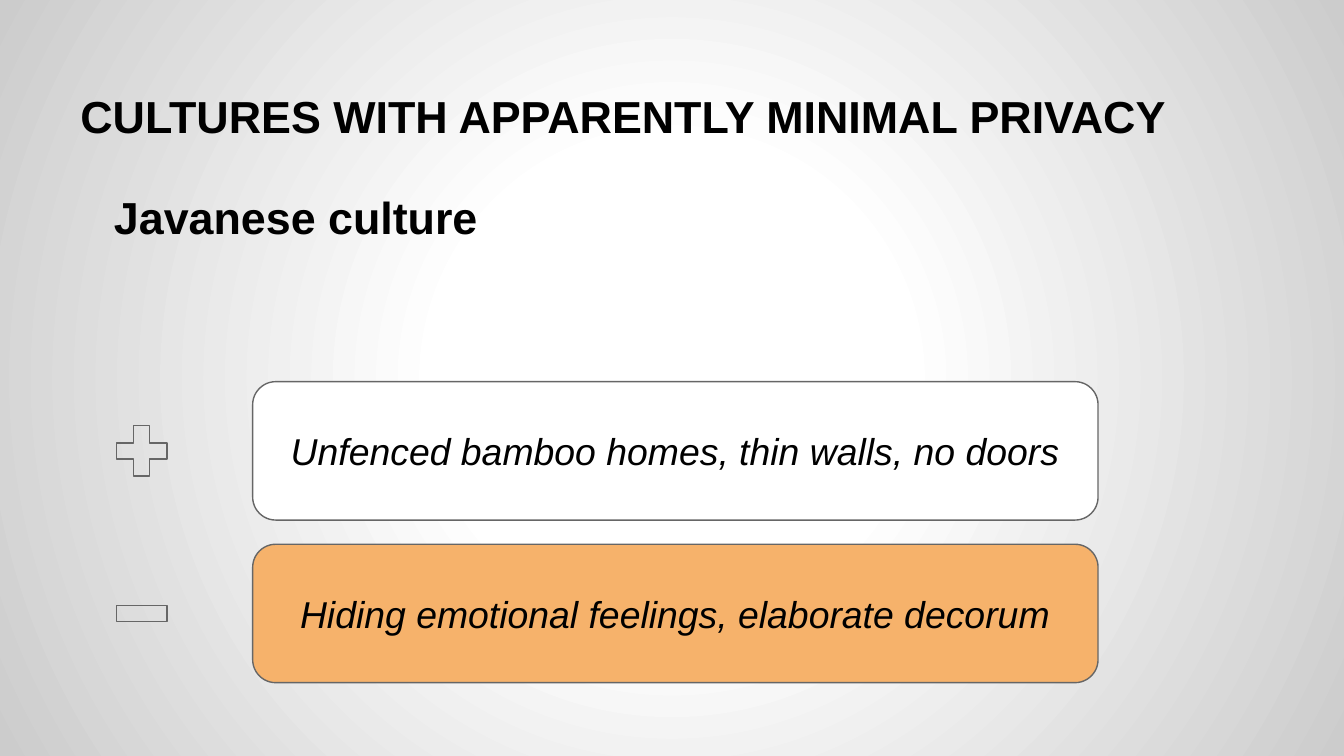
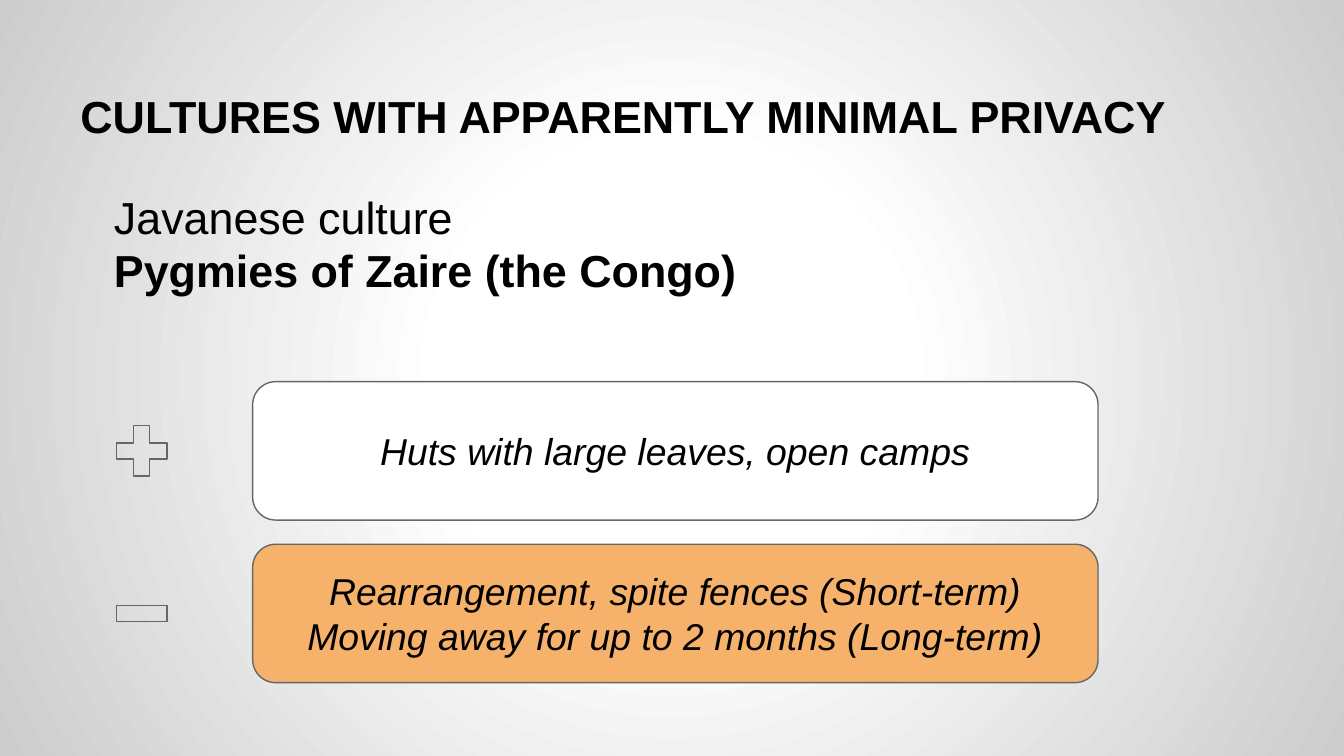
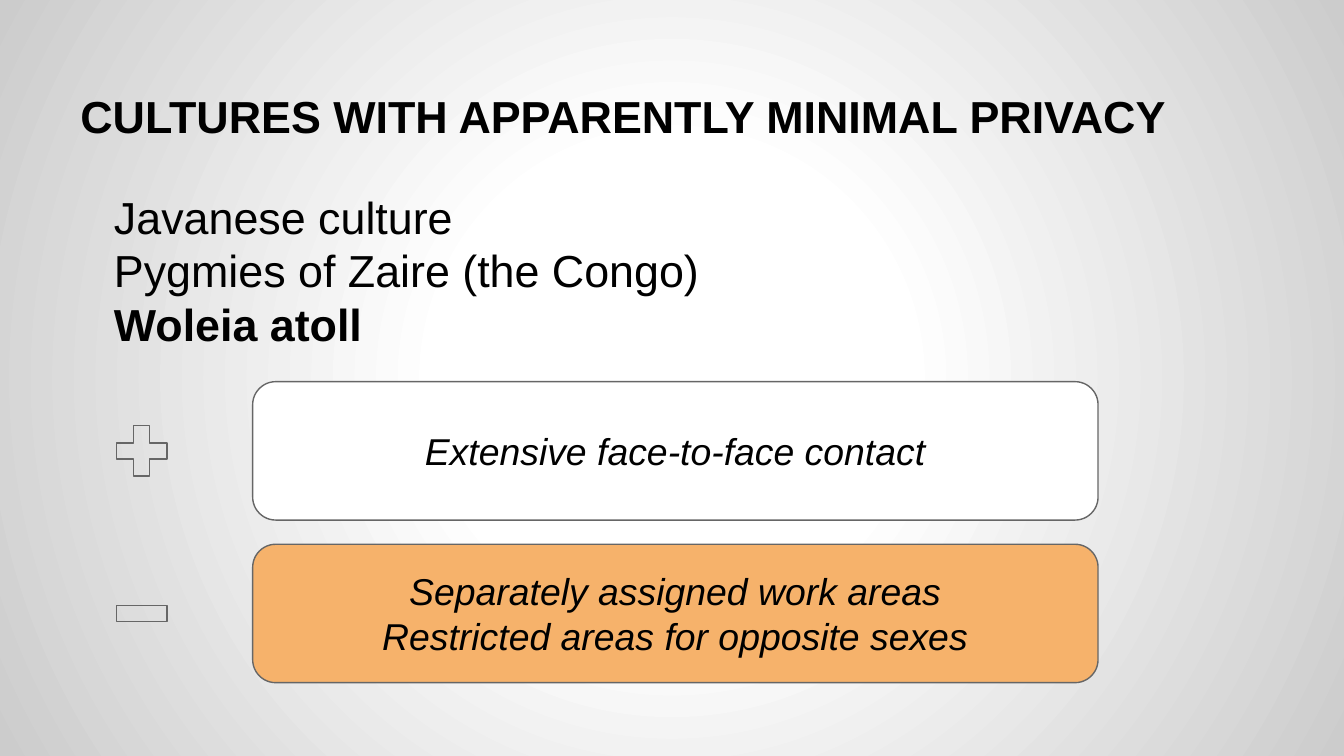
from pptx import Presentation
from pptx.dml.color import RGBColor
from pptx.enum.shapes import MSO_SHAPE
from pptx.enum.text import MSO_ANCHOR, PP_ALIGN
from pptx.oxml import parse_xml
from pptx.oxml.ns import nsdecls, qn
from pptx.util import Inches, Pt

CARD = MSO_SHAPE.FLOWCHART_ALTERNATE_PROCESS
PLUS, MINUS = MSO_SHAPE.MATH_PLUS, MSO_SHAPE.MATH_MINUS
TOP, MIDDLE, BOTTOM = MSO_ANCHOR.TOP, MSO_ANCHOR.MIDDLE, MSO_ANCHOR.BOTTOM
LEFT, CENTER, JUSTIFY = PP_ALIGN.LEFT, PP_ALIGN.CENTER, PP_ALIGN.JUSTIFY

COLORS = {"text": "000000", "outline": "666666", "open": "FFFFFF",
          "closed": "F6B26B", "center": "FFFFFF", "edge": "CCCCCC"}
FONT = "Arial"
TITLE = "CULTURES WITH APPARENTLY MINIMAL PRIVACY"
TITLE_FORMAT = {"size": Pt(24), "bold": True}
CULTURE_FORMAT = {"size": Pt(24), "bold": False}
CURRENT_FORMAT = {"size": Pt(24), "bold": True}
CARD_FORMAT = {"size": Pt(20), "italic": True}

# Each culture: name, signs of openness, ways of keeping privacy
CULTURES = [
    ("Javanese culture",
     ["Unfenced bamboo homes, thin walls, no doors"],
     ["Hiding emotional feelings, elaborate decorum"]),
    ("Pygmies of Zaire (the Congo)",
     ["Huts with large leaves, open camps"],
     ["Rearrangement, spite fences (Short-term)",
      "Moving away for up to 2 months (Long-term)"]),
    ("Woleia atoll",
     ["Extensive face-to-face contact"],
     ["Separately assigned work areas",
      "Restricted areas for opposite sexes"]),
]


def write_lines(shape, lines, anchor, align):
    """Fill a shape with paragraphs given as (text, font format) pairs."""
    frame = shape.text_frame
    frame.word_wrap = True
    frame.vertical_anchor = anchor
    for side in ("left", "top", "right", "bottom"):
        setattr(frame, f"margin_{side}", Inches(0.1))
    for index, (text, font_format) in enumerate(lines):
        paragraph = frame.paragraphs[0] if index == 0 else frame.add_paragraph()
        paragraph.alignment = align
        run = paragraph.add_run()
        run.text = text
        run.font.name = FONT
        run.font.color.rgb = RGBColor.from_string(COLORS["text"])
        for name, value in font_format.items():
            setattr(run.font, name, value)


def add_outlined(slide, preset, left, top, width, height):
    shape = slide.shapes.add_shape(
        preset, Inches(left), Inches(top), Inches(width), Inches(height))
    shape.shadow.inherit = False
    shape.line.color.rgb = RGBColor.from_string(COLORS["outline"])
    shape.line.width = Pt(0.75)
    return shape


prs = Presentation()
prs.slide_width = Inches(10)
prs.slide_height = Inches(10 * 9 / 16)

# Radial background shared by all slides through the master
master = prs.slide_master
master.background.fill.gradient()
linear = master.element.find(".//" + qn("p:bgPr")).find(qn("a:gradFill"))
stops = "".join(
    f'<a:gs pos="{percent * 1000}"><a:srgbClr val="{COLORS[name]}"/></a:gs>'
    for percent, name in ((0, "center"), (30, "center"), (100, "edge")))
linear.getparent().replace(linear, parse_xml(
    f'<a:gradFill {nsdecls("a")} rotWithShape="0"><a:gsLst>{stops}</a:gsLst>'
    '<a:path path="circle">'
    '<a:fillToRect l="50000" t="50000" r="50000" b="50000"/>'
    '</a:path></a:gradFill>'))

for number, (current, openness, privacy) in enumerate(CULTURES, start=1):
    slide = prs.slides.add_slide(prs.slide_layouts[6])

    title = slide.shapes.add_textbox(
        Inches(0.5), Inches(0.23), Inches(9), Inches(0.93))
    write_lines(title, [(TITLE, TITLE_FORMAT)], BOTTOM, LEFT)

    # Cultures so far, with the current one in bold
    culture_list = slide.shapes.add_textbox(
        Inches(0.5), Inches(1.31), Inches(9), Inches(4.07))
    names = [(name, CURRENT_FORMAT if name == current else CULTURE_FORMAT)
             for name, *_ in CULTURES[:number]]
    write_lines(culture_list, names, TOP, JUSTIFY)
    for paragraph in culture_list.text_frame.paragraphs:
        indents = paragraph._p.get_or_add_pPr()
        indents.set("marL", str(Inches(0.5)))
        indents.set("indent", str(Inches(-0.25)))

    rows = ((PLUS, "open", openness), (MINUS, "closed", privacy))
    for row, (sign, color, statements) in enumerate(rows):
        card_top = 2.84 + row * 1.21
        card = add_outlined(slide, CARD, 1.88, card_top, 6.29, 1.03)
        card.fill.solid()
        card.fill.fore_color.rgb = RGBColor.from_string(COLORS[color])
        write_lines(card, [(text, CARD_FORMAT) for text in statements],
                    MIDDLE, CENTER)

        marker = add_outlined(slide, sign, 0.8, card_top + 0.26, 0.51, 0.51)
        marker.fill.background()
        marker.adjustments[0] = 0.235

prs.save("out.pptx")
